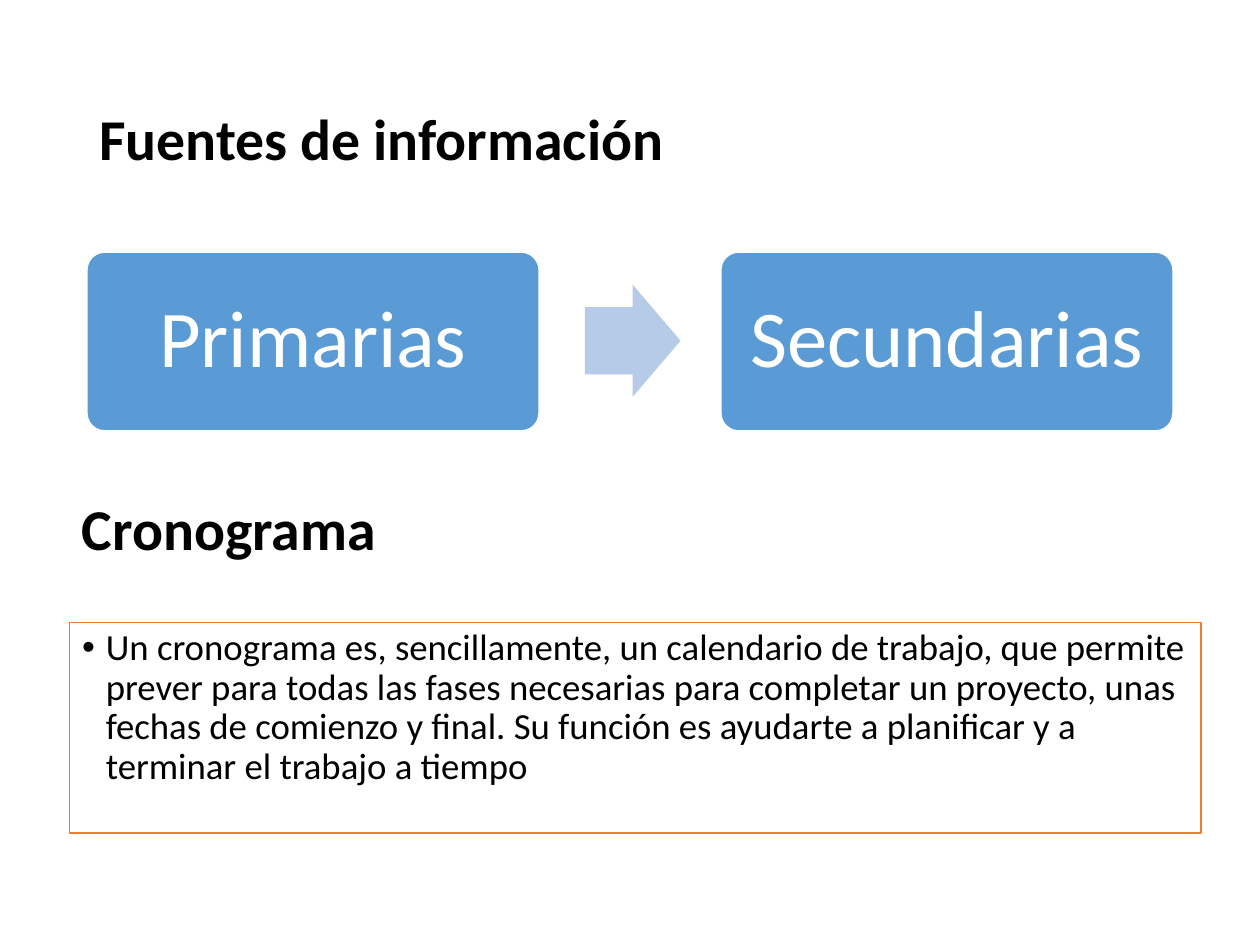
from dataclasses import dataclass

from lxml.etree import SubElement
from pptx import Presentation
from pptx.dml.color import RGBColor
from pptx.enum.shapes import MSO_SHAPE
from pptx.enum.text import MSO_ANCHOR, MSO_AUTO_SIZE, PP_ALIGN
from pptx.oxml.ns import qn
from pptx.util import Cm, Pt


@dataclass(frozen=True)
class Theme:
    font: str = "Calibri"
    ink: str = "000000"
    paper: str = "FFFFFF"
    box: str = "5B9BD5"
    arrow: str = "B5CBE7"
    frame: str = "ED7D31"
    heading_size: float = 33
    box_size: float = 46
    body_size: float = 21


@dataclass(frozen=True)
class Area:
    left: float
    top: float
    width: float
    height: float

    def lengths(self) -> tuple:
        return Cm(self.left), Cm(self.top), Cm(self.width), Cm(self.height)


@dataclass(frozen=True)
class Source:
    label: str
    left: float


THEME = Theme()
SOURCES = [Source("Primarias", 1.75), Source("Secundarias", 14.53)]
SOURCE_TOP, SOURCE_WIDTH, SOURCE_HEIGHT = 5.08, 9.12, 3.61
SCHEDULE = (
    "Un cronograma es, sencillamente, un calendario de trabajo, que permite prever "
    "para todas las fases necesarias para completar un proyecto, unas fechas de "
    "comienzo y final. Su función es ayudarte a planificar y a terminar el trabajo a tiempo"
)


def place(shape, area: Area) -> None:
    """Move and size a shape."""
    shape.left, shape.top, shape.width, shape.height = area.lengths()


def write(shape, text: str, size: float, color: str, align=PP_ALIGN.LEFT,
          anchor=MSO_ANCHOR.MIDDLE, bold: bool = False) -> None:
    """Fill a shape with one formatted paragraph."""
    frame = shape.text_frame
    frame.text = text
    frame.word_wrap = True
    frame.auto_size = MSO_AUTO_SIZE.NONE
    frame.vertical_anchor = anchor
    para = frame.paragraphs[0]
    para.alignment = align
    para.line_spacing = 0.9
    para.space_before = Pt(0)
    for span in para.runs:
        span.font.name = THEME.font
        span.font.size = Pt(size)
        span.font.bold = bold
        span.font.color.rgb = RGBColor.from_string(color)


def write_heading(shape, text: str, area: Area) -> None:
    """Place a bold heading."""
    place(shape, area)
    write(shape, text, THEME.heading_size, THEME.ink, bold=True)


def paint(shape, fill: str, line: str | None = None) -> None:
    """Set the fill and the outline of a shape."""
    shape.fill.solid()
    shape.fill.fore_color.rgb = RGBColor.from_string(fill)
    if line is None:
        shape.line.fill.background()
    else:
        shape.line.color.rgb = RGBColor.from_string(line)
        shape.line.width = Pt(1)


def draw_source(page, source: Source) -> None:
    """Draw one rounded box with its label."""
    area = Area(source.left, SOURCE_TOP, SOURCE_WIDTH, SOURCE_HEIGHT)
    box = page.shapes.add_shape(MSO_SHAPE.ROUNDED_RECTANGLE, *area.lengths())
    box.shadow.inherit = False
    box.adjustments[0] = 0.1
    paint(box, THEME.box, THEME.paper)
    write(box, source.label, THEME.box_size, THEME.paper, PP_ALIGN.CENTER)


def draw_arrow(page, area: Area) -> None:
    """Draw the block arrow between the sources."""
    arrow = page.shapes.add_shape(MSO_SHAPE.RIGHT_ARROW, *area.lengths())
    arrow.shadow.inherit = False
    arrow.adjustments[0] = 0.6
    arrow.adjustments[1] = 0.5
    paint(arrow, THEME.arrow)


def add_bullet(para, indent: float) -> None:
    """Give a paragraph a round bullet and a hanging indent."""
    properties = para._p.get_or_add_pPr()
    properties.set("marL", str(Cm(indent)))
    properties.set("indent", str(-Cm(indent)))
    SubElement(properties, qn("a:buFont"), typeface="Arial")
    SubElement(properties, qn("a:buChar"), char="•")


def main() -> None:
    """Build the slide and save it."""
    deck = Presentation()
    deck.slide_width, deck.slide_height = Cm(25.4), Cm(19.05)
    page = deck.slides.add_slide(deck.slide_layouts[1])

    write_heading(page.shapes.title, "Fuentes de información", Area(1.75, 1.02, 21.89, 3.68))
    for source in SOURCES:
        draw_source(page, source)
    draw_arrow(page, Area(11.79, 5.74, 1.93, 2.26))

    schedule_heading = Area(1.4, 8.89, 21.89, 3.68)
    heading = page.shapes.add_textbox(*schedule_heading.lengths())
    write_heading(heading, "Cronograma", schedule_heading)

    body = page.placeholders[1]
    place(body, Area(1.4, 12.55, 22.81, 4.24))
    paint(body, THEME.paper, THEME.frame)
    write(body, SCHEDULE, THEME.body_size, THEME.ink, anchor=MSO_ANCHOR.TOP)
    add_bullet(body.text_frame.paragraphs[0], 0.48)

    deck.save("out.pptx")


if __name__ == "__main__":
    main()
